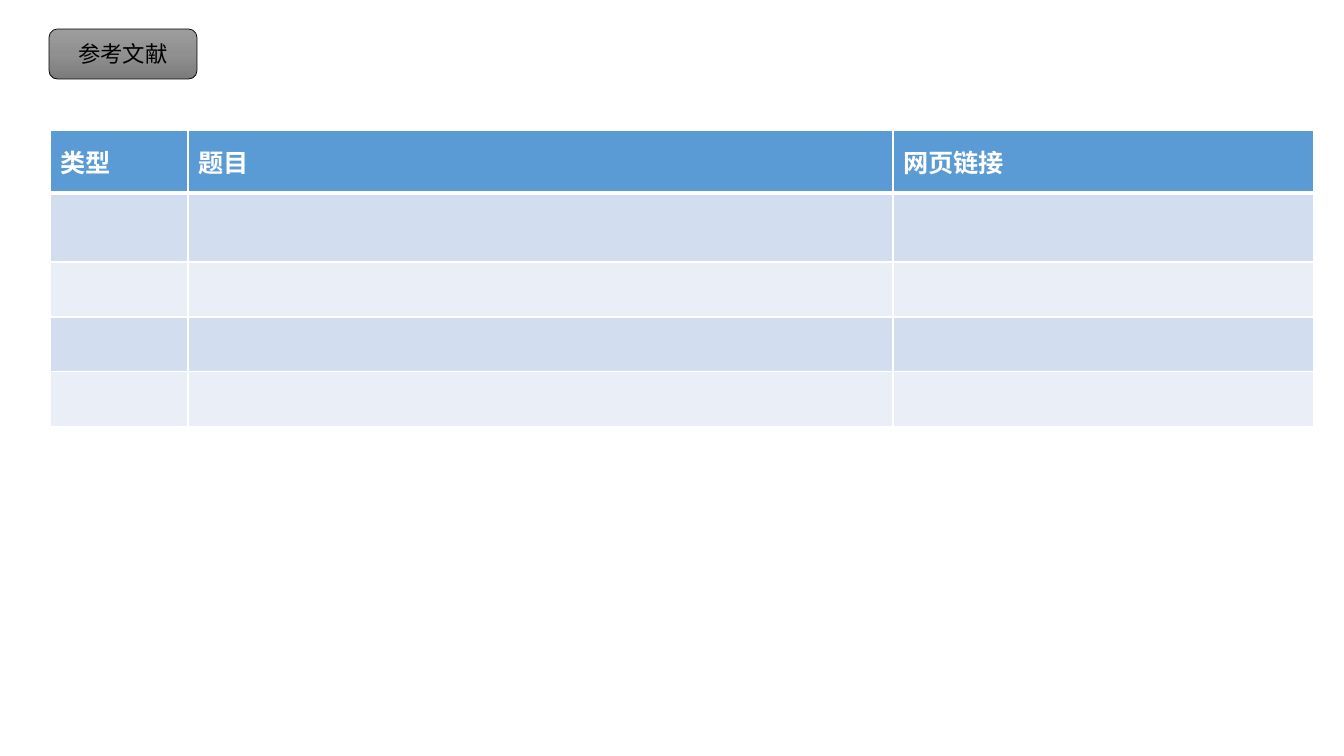
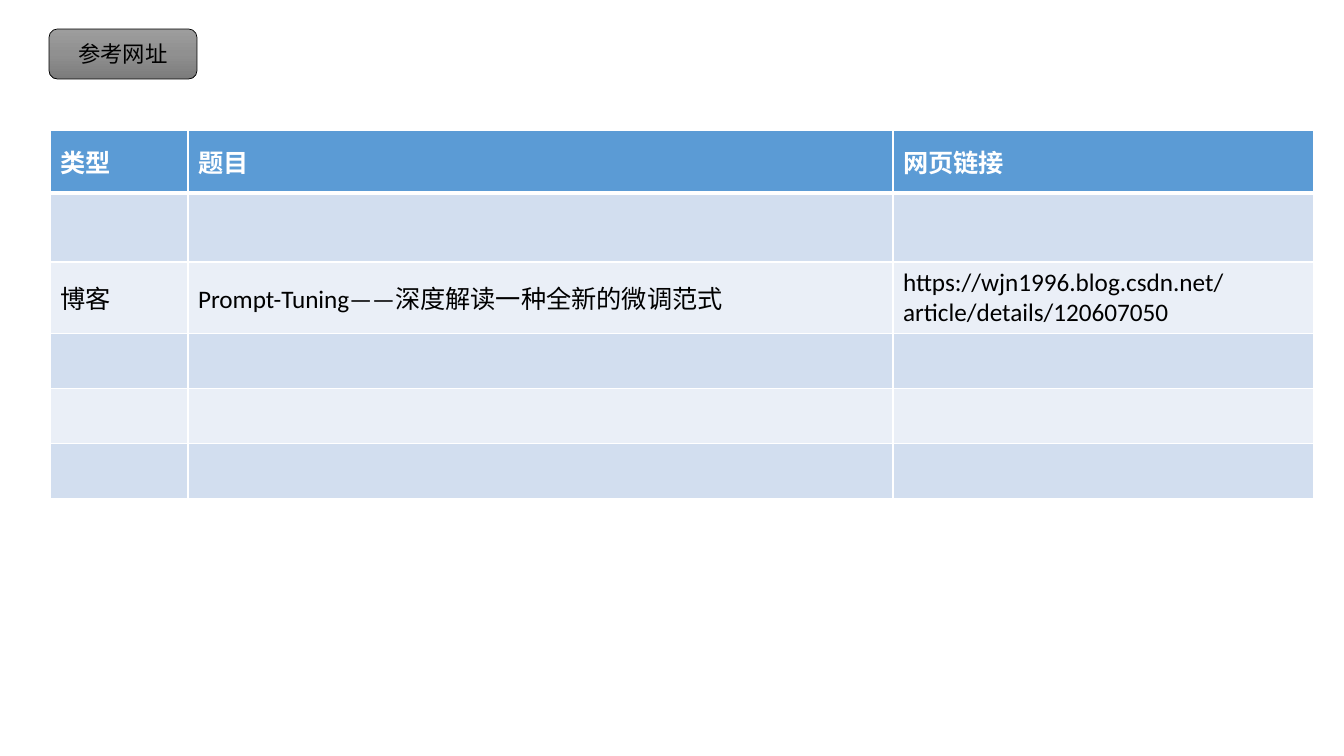
from dataclasses import dataclass
from copy import deepcopy

from lxml.etree import SubElement
from pptx import Presentation
from pptx.dml.color import RGBColor
from pptx.enum.shapes import MSO_SHAPE
from pptx.enum.text import MSO_ANCHOR, PP_ALIGN
from pptx.oxml.ns import qn
from pptx.slide import Slide
from pptx.table import _Cell
from pptx.util import Emu, Pt


@dataclass(frozen=True)
class Theme:
    """Colours, font and type sizes shared by the slides."""

    font: str = "Calibri"
    label_size: int = 16
    table_size: int = 18
    ink: str = "000000"
    white: str = "FFFFFF"
    header: str = "5B9BD5"
    bands: tuple[str, str] = ("D2DEEF", "EAEFF7")
    label_stops: tuple[str, str, str] = ("9D9D9D", "909090", "7C7C7C")
    label_line: float = 0.5
    grid_line: int = 1
    header_line: int = 3


@dataclass(frozen=True)
class ReferencePage:
    """A label and the rows of its reference table."""

    label: str
    row_heights: tuple[int, ...]
    entries: dict[int, tuple[str, str, str]]


THEME = Theme()
SLIDE_SIZE = (1344, 756)
LABEL_BOX = (49, 29, 148, 50)
TABLE_ORIGIN = (50, 130)
COLUMN_WIDTHS = (138, 705, 421)
HEADINGS = ("类型", "题目", "网页链接")
PAGES = (
    ReferencePage("参考文献", (63, 69, 55, 55, 55), {}),
    ReferencePage(
        "参考网址",
        (63, 69, 71, 55, 55, 55),
        {
            2: (
                "博客",
                "Prompt-Tuning——深度解读一种全新的微调范式",
                "https://wjn1996.blog.csdn.net/article/details/120607050",
            )
        },
    ),
)


def px(length: int) -> Emu:
    """Turn pixels into EMU at 100.8 pixels to the inch."""
    return Emu(round(length * 914400 / 100.8))


def color(value: str) -> RGBColor:
    """Return the colour for a hexadecimal value."""
    return RGBColor.from_string(value)


def add_label(page: Slide, text: str) -> None:
    """Draw the rounded grey label at the top left."""
    box = page.shapes.add_shape(MSO_SHAPE.ROUNDED_RECTANGLE, *map(px, LABEL_BOX))
    box.shadow.inherit = False
    box.line.color.rgb = color(THEME.ink)
    box.line.width = Pt(THEME.label_line)
    box.fill.gradient()
    box.fill.gradient_angle = 270
    stop_list = box._element.spPr.find(qn("a:gradFill")).find(qn("a:gsLst"))
    stop_list.insert(1, deepcopy(stop_list[0]))
    for index, stop in enumerate(box.fill.gradient_stops):
        stop.position = index / 2
        stop.color.rgb = color(THEME.label_stops[index])
    frame = box.text_frame
    frame.word_wrap = False
    frame.vertical_anchor = MSO_ANCHOR.MIDDLE
    para = frame.paragraphs[0]
    para.text = text
    para.alignment = PP_ALIGN.CENTER
    para.font.name = THEME.font
    para.font.size = Pt(THEME.label_size)
    para.font.color.rgb = color(THEME.ink)


def set_borders(cell: _Cell, top: int, bottom: int) -> None:
    """Give a cell white borders of the stated widths in points."""
    properties = cell._tc.get_or_add_tcPr()
    side_widths = {"L": THEME.grid_line, "R": THEME.grid_line, "T": top, "B": bottom}
    for side, width in side_widths.items():
        line = SubElement(properties, qn(f"a:ln{side}"), w=str(Pt(width)))
        fill = SubElement(line, qn("a:solidFill"))
        SubElement(fill, qn("a:srgbClr"), val=THEME.white)


def style_cell(cell: _Cell, row: int, text: str) -> None:
    """Fill, border and letter a cell according to its row."""
    is_header = row == 0
    set_borders(
        cell,
        top=THEME.header_line if row == 1 else THEME.grid_line,
        bottom=THEME.header_line if is_header else THEME.grid_line,
    )
    cell.fill.solid()
    cell.fill.fore_color.rgb = color(THEME.header if is_header else THEME.bands[(row - 1) % 2])
    cell.vertical_anchor = MSO_ANCHOR.MIDDLE
    para = cell.text_frame.paragraphs[0]
    if text:
        para.text = text
    para.font.name = THEME.font
    para.font.size = Pt(THEME.table_size)
    para.font.bold = is_header
    para.font.color.rgb = color(THEME.white if is_header else THEME.ink)


def add_reference_table(page: Slide, content: ReferencePage) -> None:
    """Draw the banded table with its headings and entries."""
    heights = content.row_heights
    size = (sum(COLUMN_WIDTHS), sum(heights))
    table = page.shapes.add_table(
        len(heights), len(COLUMN_WIDTHS), *map(px, TABLE_ORIGIN + size)
    ).table
    for column, width in zip(table.columns, COLUMN_WIDTHS):
        column.width = px(width)
    texts = {0: HEADINGS, **content.entries}
    blank_row = ("",) * len(COLUMN_WIDTHS)
    for index, (row, height) in enumerate(zip(table.rows, heights)):
        row.height = px(height)
        for cell, text in zip(row.cells, texts.get(index, blank_row)):
            style_cell(cell, index, text)


def main() -> None:
    """Build and save the deck."""
    deck = Presentation()
    deck.slide_width, deck.slide_height = map(px, SLIDE_SIZE)
    for content in PAGES:
        page = deck.slides.add_slide(deck.slide_layouts[6])
        add_reference_table(page, content)
        add_label(page, content.label)
    deck.save("out.pptx")


if __name__ == "__main__":
    main()
